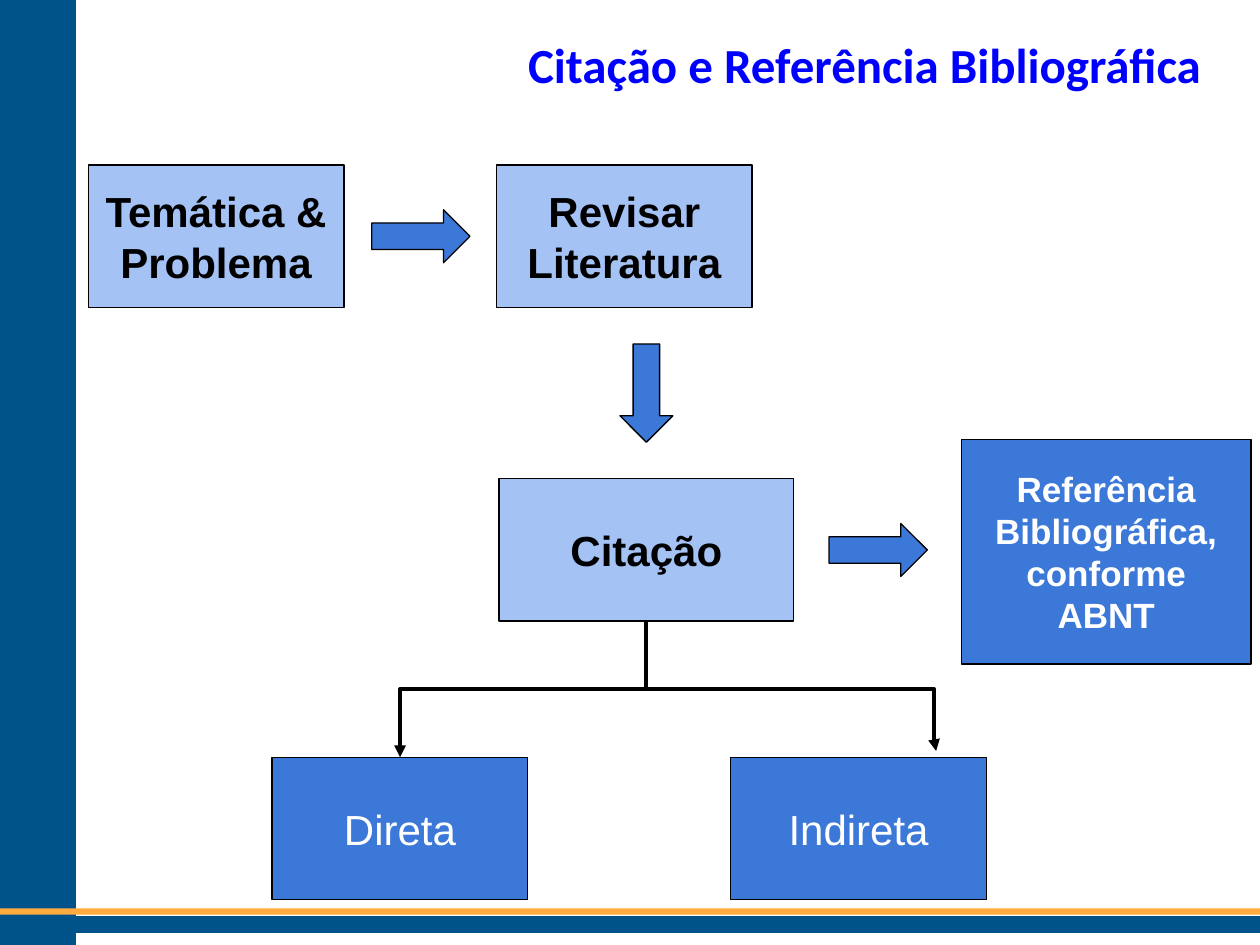
import pptx
from lxml import etree
from pptx.dml.color import RGBColor
from pptx.enum.shapes import MSO_CONNECTOR, MSO_SHAPE
from pptx.enum.text import MSO_ANCHOR, PP_ALIGN
from pptx.oxml.ns import qn
from pptx.util import Inches, Pt

THEME = dict(navy="005388", orange="FFAB40", blue="3C78D8", light="A4C2F4",
             black="000000", white="FFFFFF", title="0000FF",
             title_size=28, box_size=24, note_size=20)
W, H = 10, 7.5
BOX_W, BOX_H = 2.03, 1.13
ROW_1, ROW_2, ROW_3 = 1.31, 3.8, 6.01
ARROW_LONG, ARROW_WIDE = 0.78, 0.42

TITLE = "Citação e Referência Bibliográfica"
BANDS = [  # left, top, width, height, fill, outline
    (0, 0, 0.6, H, "navy", "navy"),
    (0, 7.28, W, 0.12, "navy", "navy"),
    (0, 7.21, W, 0.05, "orange", None),
]
LIGHT = dict(fill="light", color="black", bold=True)
DARK = dict(fill="blue", color="white")
BOXES = {  # left, top, width, height, paragraphs, style
    "topic": (0.7, ROW_1, BOX_W, BOX_H, ["Temática &", "Problema"], LIGHT),
    "review": (3.94, ROW_1, BOX_W, BOX_H, ["Revisar Literatura"], LIGHT),
    "citation": (3.96, ROW_2, 2.34, BOX_H, ["Citação"], LIGHT),
    "reference": (7.63, 3.49, 2.3, 1.78, ["Referência Bibliográfica,", "conforme ABNT"],
                  dict(DARK, size="note_size", bold=True)),
    "direct": (2.16, ROW_3, BOX_W, BOX_H, ["Direta"], DARK),
    "indirect": (5.8, ROW_3, BOX_W, BOX_H, ["Indireta"], DARK),
}
ARROWS = [  # centre x, centre y, preset
    (3.34, ROW_1 + BOX_H / 2, MSO_SHAPE.RIGHT_ARROW),
    (5.13, 3.12, MSO_SHAPE.DOWN_ARROW),
    (6.97, ROW_2 + BOX_H / 2, MSO_SHAPE.RIGHT_ARROW),
]


def rgb(name):
    return RGBColor.from_string(THEME[name])


def write(shape, lines, size="box_size", color="black", bold=False, font="Arial",
          align=PP_ALIGN.CENTER, anchor=MSO_ANCHOR.MIDDLE):
    tf = shape.text_frame
    tf.word_wrap = True
    tf.vertical_anchor = anchor
    tf.margin_left = tf.margin_right = tf.margin_top = tf.margin_bottom = Inches(0.1)
    for i, line in enumerate(lines):
        p = tf.add_paragraph() if i else tf.paragraphs[0]
        p.alignment = align
        r = p.add_run()
        r.text = line
        r.font.name, r.font.size, r.font.bold = font, Pt(THEME[size]), bold
        r.font.color.rgb = rgb(color)


def add_shape(s, preset, left, top, width, height, fill, line="black", weight=0.75):
    sp = s.shapes.add_shape(preset, *map(Inches, (left, top, width, height)))
    sp.shadow.inherit = False
    sp.fill.solid()
    sp.fill.fore_color.rgb = rgb(fill)
    if line:
        sp.line.color.rgb = rgb(line)
        sp.line.width = Pt(weight)
    else:
        sp.line.fill.background()
    return sp


def add_elbow(s, start, end, bend, vertical=False):
    """Bent arrow; bend is the share of its run before it turns. A vertical one
    leaves downwards and ends to the left, so its frame is turned a quarter."""
    (x1, y1), (x2, y2) = start, end
    cx = s.shapes.add_connector(MSO_CONNECTOR.ELBOW, *map(Inches, (x1, y1, x2, y2)))
    spPr = cx._element.spPr
    if vertical:
        run, rise = y2 - y1, x1 - x2
        xfrm = spPr.find(qn("a:xfrm"))
        xfrm.attrib.pop("flipH", None)
        xfrm.set("rot", str(90 * 60000))
        cx.left, cx.top = Inches((x1 + x2 - run) / 2), Inches((y1 + y2 - rise) / 2)
        cx.width, cx.height = Inches(run), Inches(rise)
    guides = spPr.find(qn("a:prstGeom")).get_or_add_avLst()
    etree.SubElement(guides, qn("a:gd"), name="adj1", fmla=f"val {round(bend * 100000)}")
    cx.line.color.rgb = rgb("black")
    cx.line.width = Pt(2.25)
    etree.SubElement(cx.line._get_or_add_ln(), qn("a:tailEnd"), type="triangle")
    etree.SubElement(spPr, qn("a:effectLst"))


def main():
    prs = pptx.Presentation()
    prs.slide_width, prs.slide_height = Inches(W), Inches(H)
    s = prs.slides.add_slide(prs.slide_layouts[5])

    title = s.shapes.title
    title.left, title.top, title.width, title.height = map(Inches, (1.63, 0.17, 8, 0.78))
    write(title, [TITLE], size="title_size", color="title", bold=True, font="Calibri",
          align=PP_ALIGN.RIGHT, anchor=MSO_ANCHOR.TOP)

    for *place, fill, line in BANDS:
        add_shape(s, MSO_SHAPE.RECTANGLE, *place, fill, line, weight=1)

    for *place, lines, style in BOXES.values():
        style = dict(style)
        write(add_shape(s, MSO_SHAPE.RECTANGLE, *place, style.pop("fill")), lines, **style)

    for x, y, preset in ARROWS:
        w, h = ARROW_LONG, ARROW_WIDE
        if preset == MSO_SHAPE.DOWN_ARROW:
            w, h = h, w
        add_shape(s, preset, x - w / 2, y - h / 2, w, h, "blue")

    left, top, width, height = BOXES["citation"][:4]
    stem, foot = left + width / 2, top + height
    direct = BOXES["direct"][0] + BOX_W / 2
    add_elbow(s, (stem, foot), (direct, ROW_3), bend=0.5, vertical=True)
    add_elbow(s, (stem, (foot + ROW_3) / 2), (7.43, ROW_3 - 0.05), bend=0.994)

    prs.save("out.pptx")


if __name__ == "__main__":
    main()
